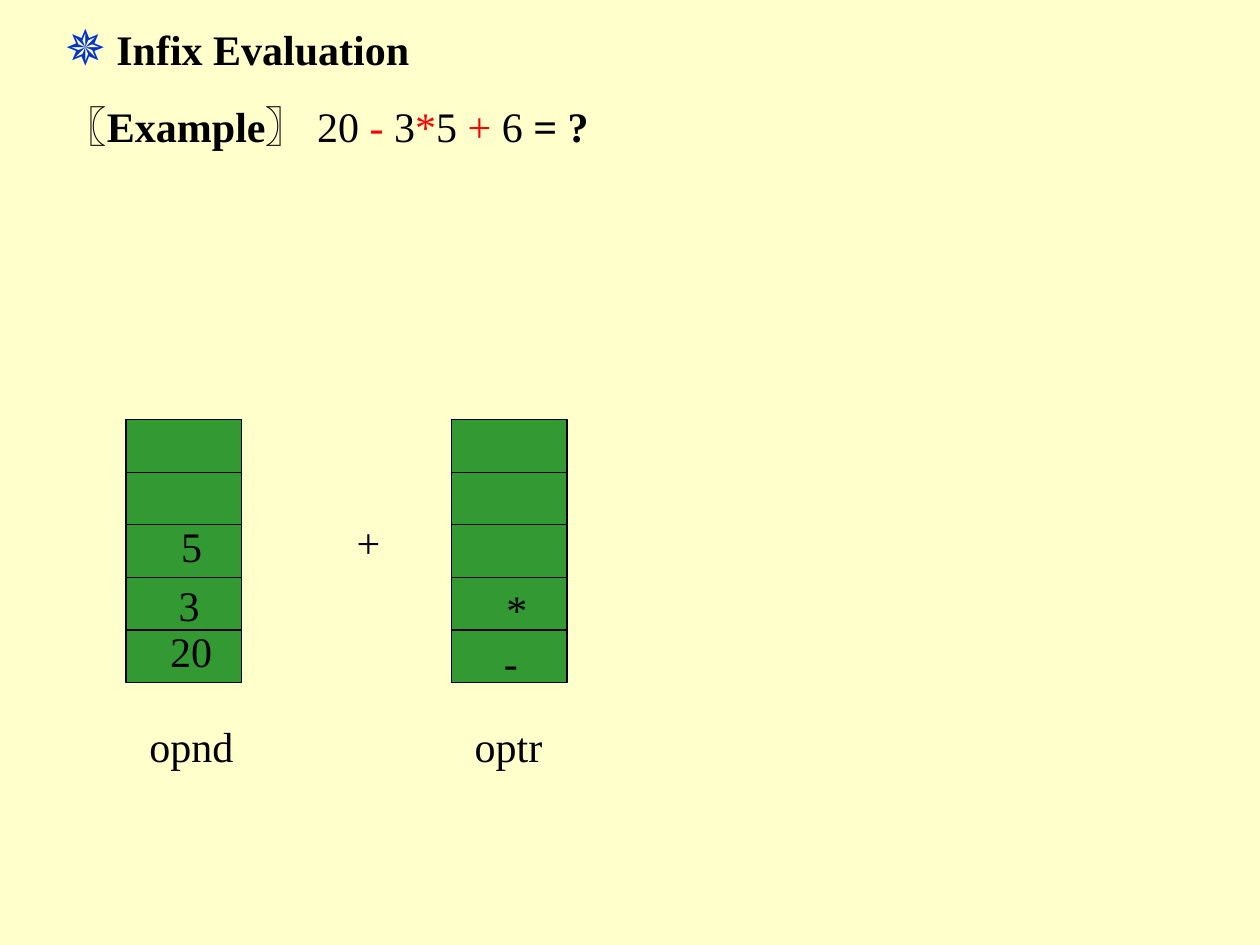
"""Build the infix evaluation slide with its operand and operator stacks."""
from pptx import Presentation
from pptx.dml.color import RGBColor
from pptx.enum.shapes import MSO_SHAPE
from pptx.enum.text import MSO_AUTO_SIZE
from pptx.util import Cm, Pt

RECTANGLE = MSO_SHAPE.RECTANGLE
GROW = MSO_AUTO_SIZE.SHAPE_TO_FIT_TEXT

COLORS = {
    "background": "FFFFCC",
    "text": "000000",
    "operator": "FF0000",
    "star": "0033CC",
    "cell": "339933",
}
SERIF = "Times New Roman"
CELL_WIDTH, CELL_HEIGHT = 2.33, 1.06
STACK_TOP, STACK_CELLS = 8.46, 5
LINE_HEIGHT = 1.27


def color(name):
    """Return the named colour of the slide."""
    return RGBColor.from_string(COLORS[name])


def add_text(page, left, top, width, spans, height=LINE_HEIGHT):
    """Add one line of text from (text, colour, bold) spans."""
    box = page.shapes.add_textbox(Cm(left), Cm(top), Cm(width), Cm(height))
    frame = box.text_frame
    frame.word_wrap = True
    frame.auto_size = GROW
    para = frame.paragraphs[0]
    for text, name, bold in spans:
        span = para.add_run()
        span.text = text
        span.font.name = SERIF
        span.font.size = Pt(24)
        span.font.bold = bold
        span.font.color.rgb = color(name)
    return para


def add_label(page, text, left, top, width):
    """Add a plain black label."""
    add_text(page, left, top, width, [(text, "text", False)])


def add_heading(page):
    """Add the heading with its star."""
    spans = [("✵", "star", False), (" Infix Evaluation", "text", True)]
    para = add_text(page, 1.06, 0.21, 8.89, spans, height=1.45)
    star = para.runs[0]
    star.font.name = "Arial"
    star.font.size = Pt(28)


def add_example(page):
    """Add the expression with its operators highlighted."""
    spans = [
        ("〖Example〗 ", "text", True),
        ("20 ", "text", False),
        ("-", "operator", False),
        (" 3", "text", False),
        ("*", "operator", False),
        ("5 ", "text", False),
        ("+", "operator", False),
        (" 6 ", "text", False),
        ("= ?", "text", True),
    ]
    add_text(page, 1.06, 1.9, 14.6, spans)


def add_stack(page, left):
    """Add a column of empty stack cells."""
    for level in range(STACK_CELLS):
        top = STACK_TOP + level * CELL_HEIGHT
        cell = page.shapes.add_shape(
            RECTANGLE, Cm(left), Cm(top), Cm(CELL_WIDTH), Cm(CELL_HEIGHT))
        cell.shadow.inherit = False
        cell.fill.solid()
        cell.fill.fore_color.rgb = color("cell")
        cell.line.color.rgb = color("text")
        cell.line.width = Pt(0.75)


def main():
    """Build and save the deck."""
    deck = Presentation()
    deck.slide_width, deck.slide_height = Cm(25.4), Cm(19.05)
    page = deck.slides.add_slide(deck.slide_layouts[6])
    page.background.fill.solid()
    page.background.fill.fore_color.rgb = color("background")

    add_heading(page)
    add_example(page)
    for left in (2.54, 9.1):
        add_stack(page, left)
    labels = [
        ("opnd", 2.76, 14.4, 2.3),
        ("optr", 9.32, 14.4, 1.95),
        ("20", 3.18, 12.49, 1.45),
        ("3", 3.35, 11.55, 1),
        ("5", 3.4, 10.37, 1),
        ("-", 9.91, 12.7, 0.85),
        ("*", 9.96, 11.64, 1),
        ("+", 6.94, 10.28, 1.05),
    ]
    for text, left, top, width in labels:
        add_label(page, text, left, top, width)
    deck.save("out.pptx")


if __name__ == "__main__":
    main()
